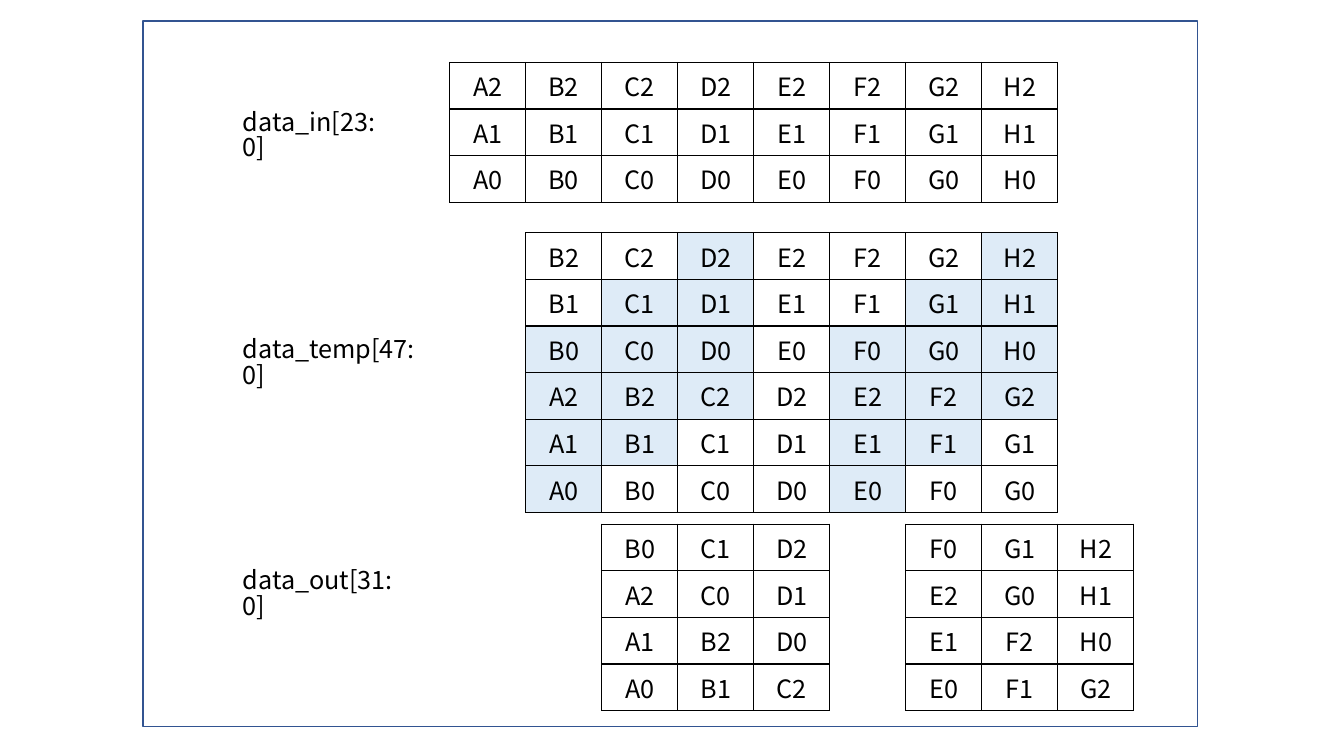
import dataclasses

import lxml.etree
import pptx
import pptx.dml.color
import pptx.enum.shapes
import pptx.enum.text
import pptx.oxml.ns
import pptx.util

Inches = pptx.util.Inches
FONT = "Noto Sans CJK SC"
BLACK, WHITE, SHADE, FRAME = "000000", "FFFFFF", "DEEBF7", "325491"
COL, ROW = 0.754, 0.4
LEFT = 4.46


@dataclasses.dataclass
class Grid:
    left: float
    top: float
    cols: list[list[str]]
    shaded: bool = False


@dataclasses.dataclass
class Label:
    text: str
    top: float
    width: float


def color(code: str) -> pptx.dml.color.RGBColor:
    return pptx.dml.color.RGBColor.from_string(code)


def style(par, align) -> None:
    par.alignment = align
    for run in par.runs:
        run.font.size = pptx.util.Pt(18)
        run.font.name = FONT
        run.font.color.rgb = color(BLACK)


def border(cell) -> None:
    """Give a cell thin black lines on all four sides."""
    props = cell._tc.get_or_add_tcPr()
    qn = pptx.oxml.ns.qn
    for spot, side in enumerate(("a:lnL", "a:lnR", "a:lnT", "a:lnB")):
        line = lxml.etree.Element(qn(side), w=str(pptx.util.Pt(1)))
        fill = lxml.etree.SubElement(line, qn("a:solidFill"))
        lxml.etree.SubElement(fill, qn("a:srgbClr"), val=BLACK)
        props.insert(spot, line)


def window(col: int) -> range:
    """Rows of a data_temp column that pass on to data_out."""
    return range(2 - col, 6 - col)


def draw_grid(slide, grid: Grid) -> None:
    rows, cols = len(grid.cols[0]), len(grid.cols)
    table = slide.shapes.add_table(
        rows, cols, Inches(grid.left), Inches(grid.top),
        Inches(COL * cols), Inches(ROW * rows)).table
    table.first_row = table.horz_banding = False
    for c, names in enumerate(grid.cols):
        for r, name in enumerate(names):
            cell = table.cell(r, c)
            cell.text_frame.text = name
            style(cell.text_frame.paragraphs[0], pptx.enum.text.PP_ALIGN.CENTER)
            if grid.shaded and r in window(c):
                cell.fill.solid()
                cell.fill.fore_color.rgb = color(SHADE)
            else:
                cell.fill.background()
            border(cell)


def draw_label(slide, label: Label) -> None:
    box = slide.shapes.add_textbox(
        Inches(2.31), Inches(label.top), Inches(label.width), Inches(0.4))
    frame = box.text_frame
    frame.word_wrap = True
    frame.text = label.text
    frame.paragraphs[0].line_spacing = 0.84
    style(frame.paragraphs[0], pptx.enum.text.PP_ALIGN.LEFT)


def draw_frame(slide) -> None:
    box = slide.shapes.add_shape(
        pptx.enum.shapes.MSO_SHAPE.RECTANGLE,
        Inches(1.42), Inches(0.21), Inches(10.46), Inches(7))
    box.shadow.inherit = False
    box.fill.solid()
    box.fill.fore_color.rgb = color(WHITE)
    box.line.color.rgb = color(FRAME)
    box.line.width = pptx.util.Pt(1)


def stack(word: str) -> list[str]:
    """Three bytes of an input word, highest first."""
    return [f"{word}{n}" for n in (2, 1, 0)]


def plan() -> list[Grid]:
    grids = []
    for half, words in enumerate(("ABCD", "EFGH")):
        left = LEFT + 4 * COL * half
        temp = [stack(new) + stack(old) for old, new in zip(words, words[1:])]
        out = [[col[r] for r in window(c)] for c, col in enumerate(temp)]
        grids += [
            Grid(left, 0.62, [stack(w) for w in words]),
            Grid(left + COL, 2.31, temp, shaded=True),
            Grid(left + 2 * COL, 5.2, out),
        ]
    # Column between the two halves of data_temp
    grids.append(Grid(LEFT + 4 * COL, 2.31, [stack("E") + stack("D")]))
    return grids


LABELS = [
    Label("data_in[23:0]", 1.05, 1.58),
    Label("data_temp[47:0]", 3.31, 1.96),
    Label("data_out[31:0]", 5.6, 1.75),
]


def main() -> None:
    deck = pptx.Presentation()
    deck.slide_width, deck.slide_height = Inches(13.33), Inches(7.5)
    slide = deck.slides.add_slide(deck.slide_layouts[6])
    draw_frame(slide)
    for grid in plan():
        draw_grid(slide, grid)
    for label in LABELS:
        draw_label(slide, label)
    deck.save("out.pptx")


if __name__ == "__main__":
    main()
